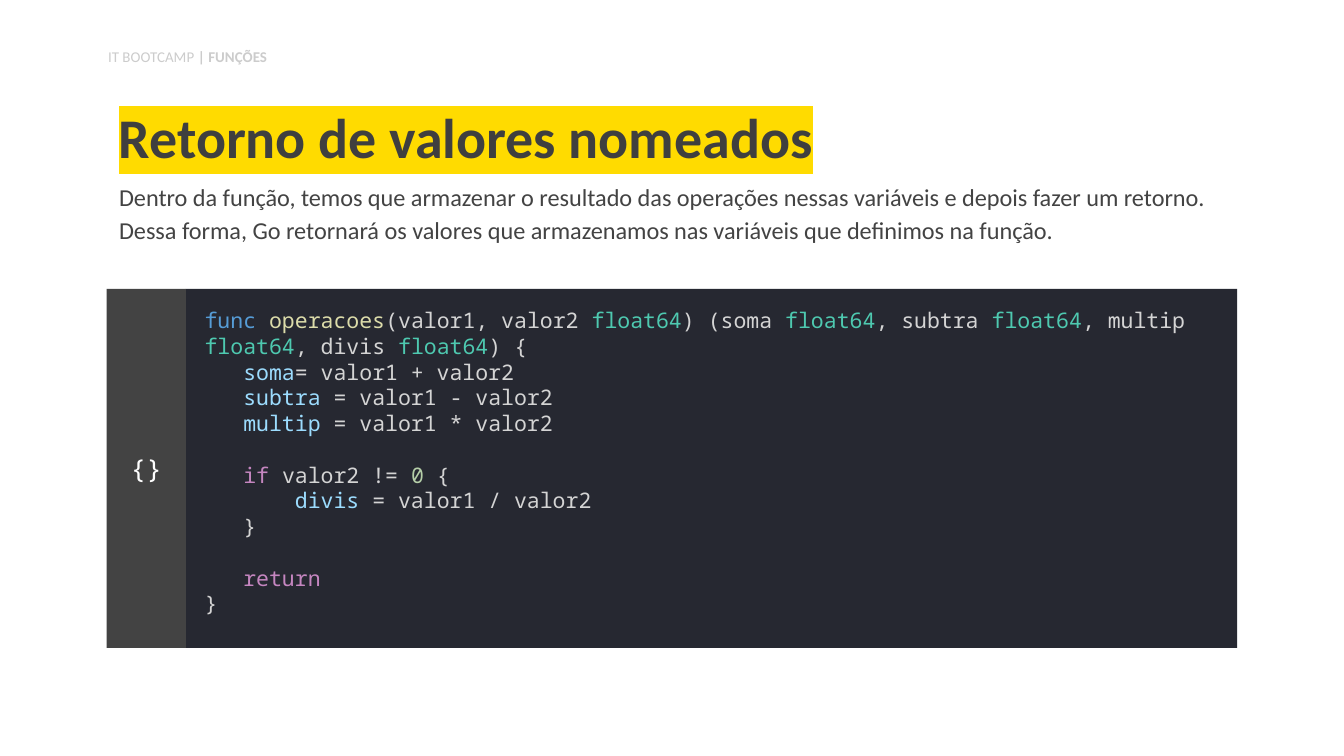
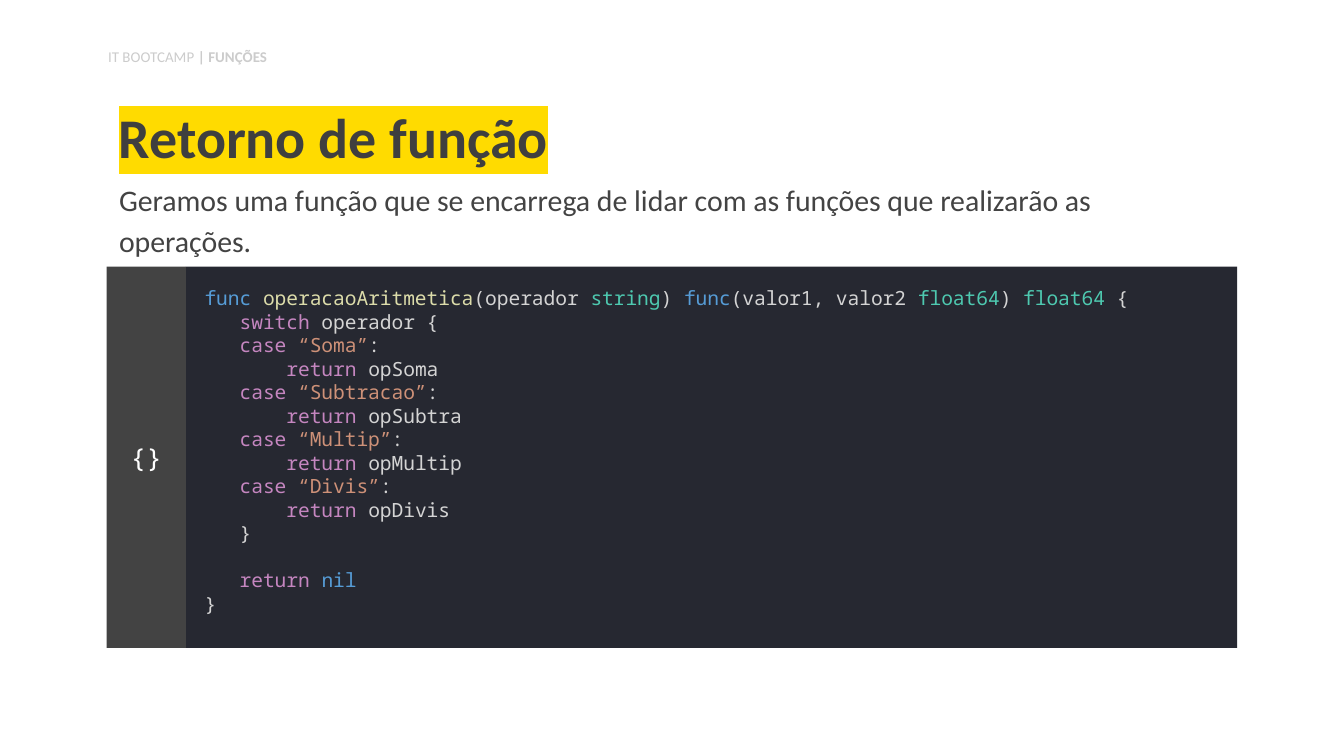
from dataclasses import dataclass
from itertools import groupby

from lxml import etree
from pptx import Presentation
from pptx.dml.color import RGBColor
from pptx.enum.shapes import MSO_SHAPE
from pptx.enum.text import MSO_ANCHOR, MSO_AUTO_SIZE, PP_ALIGN
from pptx.oxml.ns import qn
from pptx.util import Pt

RECT = MSO_SHAPE.RECTANGLE
LEFT, CENTER = PP_ALIGN.LEFT, PP_ALIGN.CENTER
TOP, MIDDLE, BOTTOM = MSO_ANCHOR.TOP, MSO_ANCHOR.MIDDLE, MSO_ANCHOR.BOTTOM
FIXED = MSO_AUTO_SIZE.NONE
TITLE_AND_BODY = 1


@dataclass(frozen=True)
class Theme:
    text_font: str = "Calibri"
    code_font: str = "Noto Sans Mono"
    title: str = "3F3F3F"
    marker: str = "FFDB00"
    body: str = "434343"
    header: str = "CCCCCC"
    gutter: str = "434343"
    panel: str = "262831"
    brace: str = "FFFFFF"
    title_size: float = 30
    header_size: float = 8
    brace_size: float = 14
    code_line: float = 1.2
    # Syntax colours
    plain: str = "D4D4D4"
    keyword: str = "569CD6"
    control: str = "C586C0"
    function: str = "DCDCAA"
    kind: str = "4EC9B0"
    variable: str = "9CDCFE"
    number: str = "B5CEA8"
    string: str = "CE9178"


THEME = Theme()
WORD_COLORS = {
    word: color
    for color, words in (
        (THEME.keyword, "func nil"),
        (THEME.control, "if switch case return"),
        (THEME.function, "operacoes operacaoAritmetica"),
        (THEME.kind, "float64 string"),
    )
    for word in words.split()
}


def in_word(char):
    return char.isalnum() or char in "“”"


def highlight_syntax(line):
    """Split a line of code into (text, format) runs, one per colour."""
    tokens = ["".join(chars) for _, chars in groupby(line, in_word)]
    assigned = line.split("=")[0].strip() if "=" in line else ""

    def color_of(token):
        if token.startswith("“"):
            return THEME.string
        if token.isdigit():
            return THEME.number
        if token == assigned:
            return THEME.variable
        return WORD_COLORS.get(token, THEME.plain)

    return [("".join(part), {"color": color})
            for color, part in groupby(tokens, color_of)]


def write(frame, lines, *, size, color=THEME.plain, font=THEME.text_font,
          bold=False, marker=None, align=LEFT, anchor=TOP, spacing=1.0,
          after=0, insets=(7.2, 7.2, 7.2, 7.2)):
    """Fill a frame with lines of (text, format) runs; an empty line is a gap."""
    frame.word_wrap = True
    frame.auto_size = FIXED
    frame.vertical_anchor = anchor
    (frame.margin_left, frame.margin_top,
     frame.margin_right, frame.margin_bottom) = map(Pt, insets)
    paragraph, gap = None, 0
    for runs in lines:
        if not runs:
            gap += size * THEME.code_line
            continue
        paragraph = frame.add_paragraph() if paragraph else frame.paragraphs[0]
        properties = paragraph._p.get_or_add_pPr()
        properties.set("marL", "0")
        properties.set("indent", "0")
        etree.SubElement(properties, qn("a:buNone"))
        paragraph.alignment = align
        paragraph.line_spacing = spacing
        paragraph.space_before, paragraph.space_after = Pt(gap), Pt(after)
        gap = 0
        for text, style in runs:
            run = paragraph.add_run()
            run.text = text
            run.font.name, run.font.size = font, Pt(size)
            run.font.bold = style.get("bold", bold)
            run.font.color.rgb = RGBColor.from_string(style.get("color", color))
            if marker:
                highlight = etree.Element(qn("a:highlight"))
                etree.SubElement(highlight, qn("a:srgbClr"), val=marker)
                run._r.rPr.find(qn("a:solidFill")).addnext(highlight)


class Deck:
    def __init__(self, theme):
        self.theme = theme
        self.presentation = Presentation()
        self.presentation.slide_width = Pt(720)
        self.presentation.slide_height = Pt(405)
        self.slide = None

    def new_slide(self):
        layout = self.presentation.slide_layouts[TITLE_AND_BODY]
        self.slide = self.presentation.slides.add_slide(layout)

    def placeholder(self, index, left, top, width, height):
        holder = self.slide.placeholders[index]
        holder.left, holder.top = Pt(left), Pt(top)
        holder.width, holder.height = Pt(width), Pt(height)
        return holder.text_frame

    def header(self, course, topic):
        box = self.slide.shapes.add_textbox(Pt(50.8), Pt(22.2), Pt(226), Pt(19.5))
        write(box.text_frame, [[(course, {}), (f" | {topic}", {"bold": True})]],
              size=self.theme.header_size, color=self.theme.header, after=12,
              insets=(7.2, 3.6, 7.2, 3.6))

    def title(self, text):
        write(self.placeholder(0, 56.4, 49.2, 607, 49.7), [[(text, {})]],
              size=self.theme.title_size, color=self.theme.title, bold=True,
              marker=self.theme.marker, anchor=BOTTOM, spacing=0.9)

    def body(self, sentences, size, top, height):
        write(self.placeholder(1, 56.6, top, 607, height),
              [[(sentence, {})] for sentence in sentences],
              size=size, color=self.theme.body, spacing=1.15)

    def code_panel(self, code, size, top):
        left, split, right, bottom = 57.2, 99.6, 662.7, 347.1
        group = self.slide.shapes.add_group_shape()

        def block(start, end, fill):
            shape = group.shapes.add_shape(
                RECT, Pt(start), Pt(top), Pt(end - start), Pt(bottom - top))
            shape.shadow.inherit = False
            shape.fill.solid()
            shape.fill.fore_color.rgb = RGBColor.from_string(fill)
            shape.line.fill.background()
            return shape.text_frame

        write(block(split, right, self.theme.panel),
              [highlight_syntax(line) for line in code.strip().splitlines()],
              size=size, font=self.theme.code_font, anchor=MIDDLE,
              insets=(10, 0, 7.2, 7.2))
        write(block(left, split, self.theme.gutter), [[("{}", {})]],
              size=self.theme.brace_size, color=self.theme.brace,
              font=self.theme.code_font, align=CENTER, anchor=MIDDLE)


NAMED_RETURN_CODE = """
func operacoes(valor1, valor2 float64) (soma float64, subtra float64, multip float64, divis float64) {
   soma= valor1 + valor2
   subtra = valor1 - valor2
   multip = valor1 * valor2

   if valor2 != 0 {
       divis = valor1 / valor2
   }

   return
}
"""

FUNCTION_RETURN_CODE = """
func operacaoAritmetica(operador string) func(valor1, valor2 float64) float64 {
   switch operador {
   case “Soma”:
       return opSoma
   case “Subtracao”:
       return opSubtra
   case “Multip”:
       return opMultip
   case “Divis”:
       return opDivis
   }

   return nil
}
"""

LESSONS = [
    {
        "title": "Retorno de valores nomeados",
        "body": {
            "sentences": [
                "Dentro da função, temos que armazenar o resultado das operações "
                "nessas variáveis e depois fazer um retorno.",
                "Dessa forma, Go retornará os valores que armazenamos nas "
                "variáveis que definimos na função.",
            ],
            "size": 13, "top": 88, "height": 67,
        },
        "code": {"code": NAMED_RETURN_CODE, "size": 11.5, "top": 154.8},
    },
    {
        "title": "Retorno de função",
        "body": {
            "sentences": [
                "Geramos uma função que se encarrega de lidar com as funções "
                "que realizarão as operações.",
            ],
            "size": 16, "top": 87.2, "height": 49.7,
        },
        "code": {"code": FUNCTION_RETURN_CODE, "size": 10.5, "top": 142.8},
    },
]


def main():
    deck = Deck(THEME)
    for lesson in LESSONS:
        deck.new_slide()
        deck.body(**lesson["body"])
        deck.code_panel(**lesson["code"])
        deck.header("IT BOOTCAMP", "FUNÇÕES")
        deck.title(lesson["title"])
    deck.presentation.save("out.pptx")


if __name__ == "__main__":
    main()
